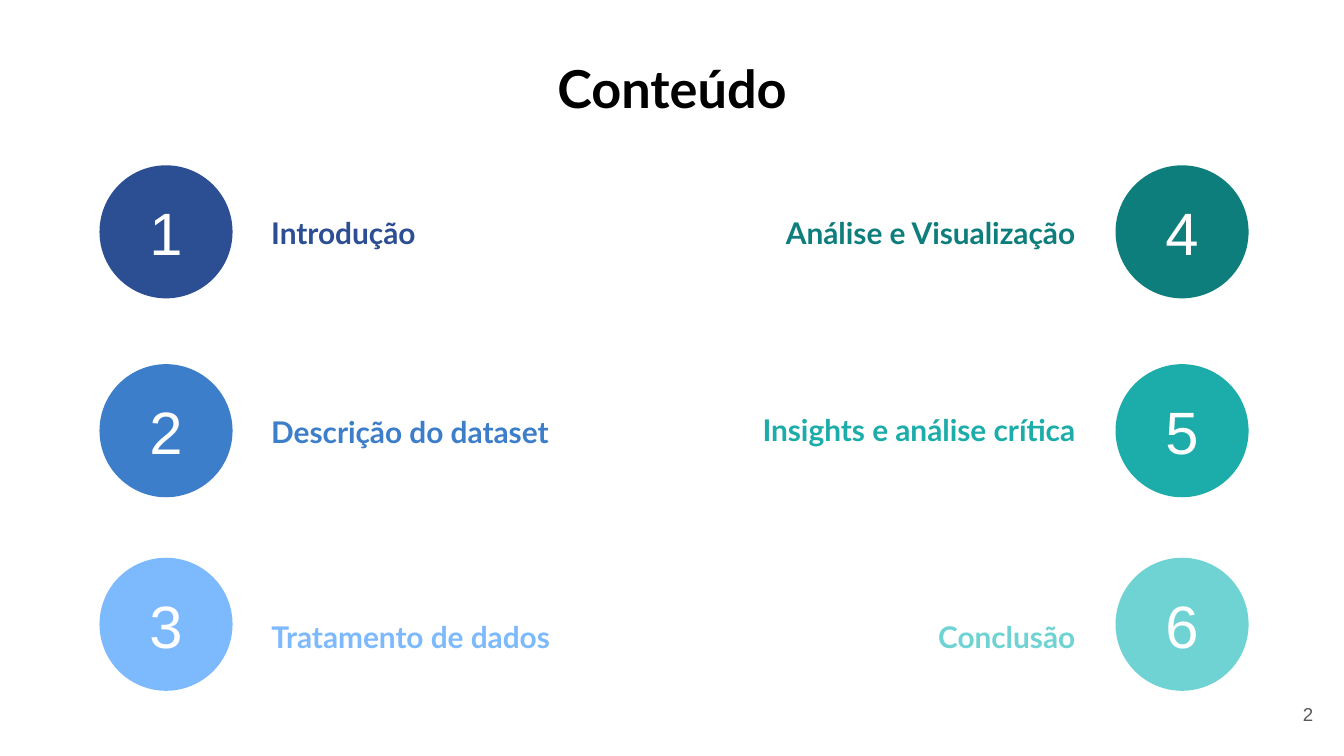
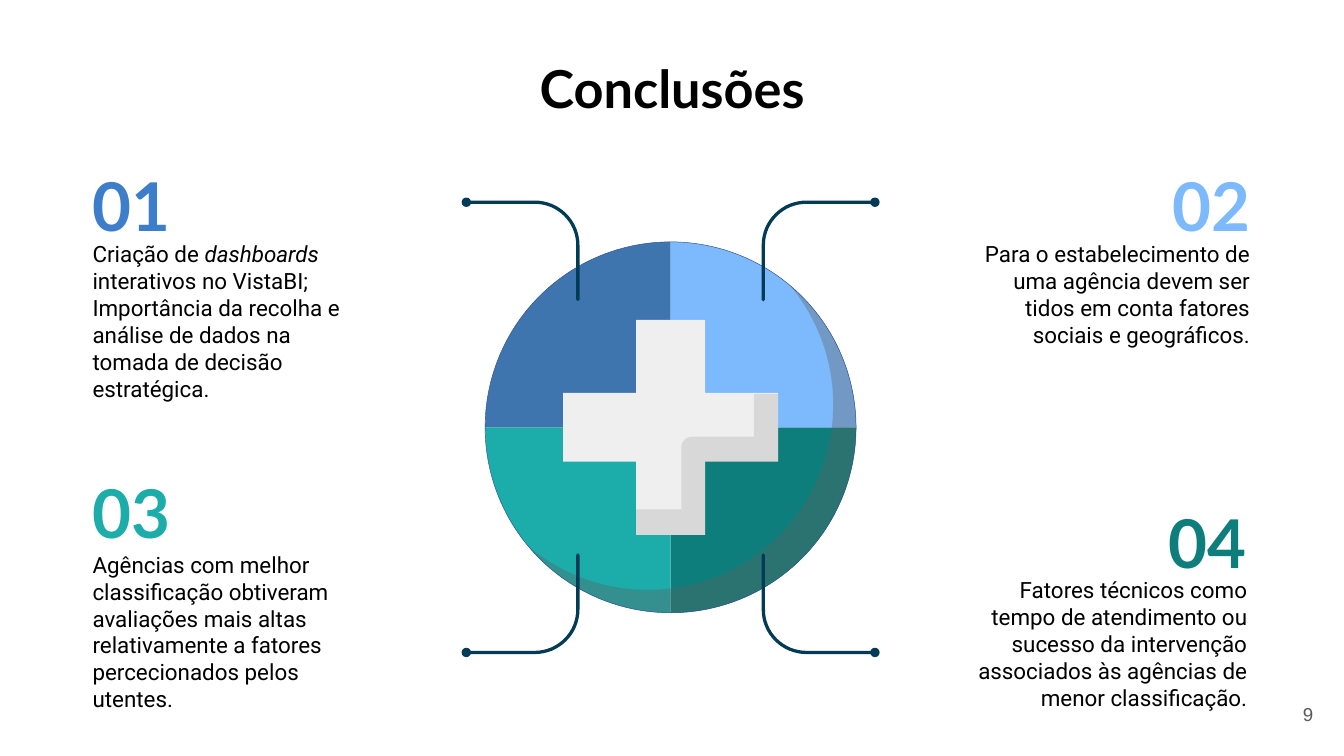
import math
from dataclasses import dataclass

from lxml import etree
from pptx import Presentation
from pptx.dml.color import RGBColor
from pptx.enum import shapes, text
from pptx.oxml import ns
from pptx.util import Inches, Pt


@dataclass(frozen=True)
class Theme:
    black: str = "000000"
    white: str = "FFFFFF"
    gray: str = "595959"
    navy: str = "2C4E93"
    blue: str = "3C7EC9"
    steel: str = "3E75AF"
    sky: str = "7DB9FD"
    green: str = "0D7E7C"
    teal: str = "1CACA9"
    aqua: str = "6ED3D2"
    ink: str = "023B56"
    shade: str = "606060"
    plus: str = "EFEFEF"
    heading_font: str = "Lato"
    body_font: str = "Roboto"
    plain_font: str = "Arial"
    title_size: int = 28
    number_size: int = 36
    circle_size: int = 32
    label_size: int = 16
    body_size: int = 12
    page_size: int = 10


THEME = Theme()
LEFT, CENTER, RIGHT = text.PP_ALIGN.LEFT, text.PP_ALIGN.CENTER, text.PP_ALIGN.RIGHT


def write(frame, content, *, size, font, color, bold=False, align=LEFT,
          anchor=text.MSO_ANCHOR.TOP, spacing=None, after=None):
    """Fill a frame with one paragraph; content is a string or (string, italic) pairs."""
    frame.word_wrap = True
    frame.vertical_anchor = anchor
    frame.margin_left = frame.margin_right = Inches(0.1)
    frame.margin_top = frame.margin_bottom = Inches(0.1)
    paragraph = frame.paragraphs[0]
    paragraph.alignment = align
    if spacing:
        paragraph.line_spacing = spacing
    if after:
        paragraph.space_after = Pt(after)
    parts = [(content, False)] if isinstance(content, str) else content
    for part, italic in parts:
        run = paragraph.add_run()
        run.text = part
        run.font.size, run.font.name = Pt(size), font
        run.font.bold, run.font.italic = bold, italic
        run.font.color.rgb = RGBColor.from_string(color)


def arc(center, radius, start, end, steps=32):
    """Points along an arc; degrees run clockwise from the right."""
    angles = [math.radians(start + (end - start) * i / steps) for i in range(steps + 1)]
    return [(center[0] + radius * math.cos(a), center[1] + radius * math.sin(a))
            for a in angles]


class Deck:
    def __init__(self, theme):
        self.theme = theme
        self.presentation = Presentation()
        self.presentation.slide_width = Inches(10)
        self.presentation.slide_height = Inches(5.625)
        self.slide = None

    def start_slide(self, title, page):
        theme = self.theme
        self.slide = self.presentation.slides.add_slide(self.presentation.slide_layouts[6])
        self.text_box(title, 0.34, 0.32, 9.32, 0.63, size=theme.title_size,
                      font=theme.heading_font, color=theme.black, bold=True, align=CENTER)
        self.text_box(str(page), 9.27, 5.1, 0.6, 0.43, size=theme.page_size,
                      font=theme.plain_font, color=theme.gray, align=RIGHT,
                      anchor=text.MSO_ANCHOR.MIDDLE)

    def text_box(self, content, left, top, width, height, **style):
        box = self.slide.shapes.add_textbox(*map(Inches, (left, top, width, height)))
        write(box.text_frame, content, **style)

    def heading(self, content, left, top, width, size, color, align):
        self.text_box(content, left, top, width, 0.42, size=size, color=color, align=align,
                      font=self.theme.heading_font, bold=True, spacing=1.15, after=16)

    def paint(self, shape, fill=None, opacity=100, line=None, line_width=0.25):
        shape.shadow.inherit = False
        if fill:
            shape.fill.solid()
            shape.fill.fore_color.rgb = RGBColor.from_string(fill)
        else:
            shape.fill.background()
        if opacity < 100:
            color = shape.element.spPr.find(".//" + ns.qn("a:srgbClr"))
            etree.SubElement(color, ns.qn("a:alpha"), val=str(opacity * 1000))
        if line:
            shape.line.color.rgb = RGBColor.from_string(line)
            shape.line.width = Pt(line_width)
            shape.element.spPr.find(ns.qn("a:ln")).set("cap", "rnd")
        else:
            shape.line.fill.background()
        return shape

    def preset(self, kind, left, top, width, height, **style):
        shape = self.slide.shapes.add_shape(kind, *map(Inches, (left, top, width, height)))
        return self.paint(shape, **style)

    def circle(self, center, radius, **style):
        x, y = center
        return self.preset(shapes.MSO_SHAPE.OVAL, x - radius, y - radius,
                           2 * radius, 2 * radius, **style)

    def outline(self, points, close=True, **style):
        points = [(Inches(x), Inches(y)) for x, y in points]
        builder = self.slide.shapes.build_freeform(*points[0], scale=1.0)
        builder.add_line_segments(points[1:], close=close)
        return self.paint(builder.convert_to_shape(), **style)


def add_contents(deck):
    theme = deck.theme
    deck.start_slide("Conteúdo", 2)
    circle_tops = (1.23, 2.71, 4.15)
    columns = [
        (1.235, LEFT, [("Introdução", theme.navy, 1.46, 1.43),
                       ("Descrição do dataset", theme.blue, 2.94, 2.43),
                       ("Tratamento de dados", theme.sky, 4.46, 2.59)]),
        (8.795, RIGHT, [("Análise e Visualização", theme.green, 1.46, 2.51),
                        ("Insights e análise crítica", theme.teal, 2.92, 2.95),
                        ("Conclusão", theme.aqua, 4.46, 1.43)]),
    ]
    number = 0
    for center_x, align, topics in columns:
        for circle_top, (label, color, top, width) in zip(circle_tops, topics):
            number += 1
            circle = deck.circle((center_x, circle_top + 0.495), 0.495, fill=color)
            write(circle.text_frame, str(number), size=theme.circle_size,
                  font=theme.plain_font, color=theme.white, align=CENTER,
                  anchor=text.MSO_ANCHOR.MIDDLE)
            left = 1.92 if align == LEFT else 8.1 - width
            deck.heading(label, left, top, width, theme.label_size, color, align)


def add_emblem(deck, center, radius):
    """Four coloured quarters with a shaded rim and a plus sign on top."""
    theme = deck.theme
    quarters = (theme.green, theme.teal, theme.steel, theme.sky)
    for index, color in enumerate(quarters):
        start = 90 * index
        deck.outline([center] + arc(center, radius, start, start + 90), fill=color)

    x, y = center
    light = (x - 0.17, y - 0.17)
    for outer, inner in (((-50, 0), (7, -40)), ((0, 90), (83, 7)), ((90, 140), (130, 83))):
        deck.outline(arc(center, radius, *outer) + arc(light, radius, *inner),
                     fill=theme.shade, opacity=36)
    deck.circle(center, radius, line=theme.navy)

    plus = deck.preset(shapes.MSO_SHAPE.CROSS, x - 0.8, y - 0.8, 1.6, 1.6, fill=theme.plus)
    plus.adjustments[0] = 0.34
    deck.outline([(5.61, 2.93), (5.61, 3.25)] + arc((5.15, 3.33), 0.08, -90, -180, 8)
                 + [(5.07, 3.79), (4.73, 3.79), (4.73, 3.98), (5.25, 3.98),
                    (5.25, 3.44), (5.79, 3.44), (5.79, 2.93)],
                 fill=theme.shade, opacity=16)


def add_callouts(deck, center):
    """Rounded elbows with end dots, mirrored into the four corners."""
    theme = deck.theme
    elbow = [(1.52, 1.675)] + arc((1.01, 1.355), 0.32, 90, 180, 16) + [(0.69, 0.95)]
    for side_x in (-1, 1):
        for side_y in (-1, 1):
            points = [(center[0] + side_x * x, center[1] + side_y * y) for x, y in elbow]
            deck.outline(points, close=False, line=theme.ink, line_width=1.75)
            deck.circle(points[0], 0.035, fill=theme.ink)


def add_conclusions(deck):
    theme = deck.theme
    deck.start_slide("Conclusões", 9)
    dashboards = [
        ("Criação de ", False), ("dashboards", True),
        (" interativos no VistaBI; Importância da recolha e análise de dados na "
         "tomada de decisão estratégica.", False)]
    findings = [
        ("01", theme.blue, LEFT, (0.59, 1.03), (0.59, 1.69, 2.11, 1.49), dashboards),
        ("02", theme.sky, RIGHT, (7.97, 1.03), (7.2, 1.69, 2.2, 0.63),
         "Para o estabelecimento de uma agência devem ser tidos em conta fatores "
         "sociais e geográficos."),
        ("03", theme.teal, LEFT, (0.59, 3.32), (0.59, 4, 2.11, 1.34),
         "Agências com melhor classificação obtiveram avaliações mais altas "
         "relativamente a fatores percecionados pelos utentes."),
        ("04", theme.green, RIGHT, (7.94, 3.54), (7, 4.19, 2.38, 1.34),
         "Fatores técnicos como tempo de atendimento ou sucesso da intervenção "
         "associados às agências de menor classificação."),
    ]
    for number, color, align, place, body_box, body in findings:
        deck.heading(number, *place, 1.43, theme.number_size, color, align)
        deck.text_box(body, *body_box, size=theme.body_size, font=theme.body_font,
                      color=theme.black, align=align)
    center = (4.99, 3.18)
    add_emblem(deck, center, 1.38)
    add_callouts(deck, center)


def main():
    deck = Deck(THEME)
    add_contents(deck)
    add_conclusions(deck)
    deck.presentation.save("out.pptx")


if __name__ == "__main__":
    main()
